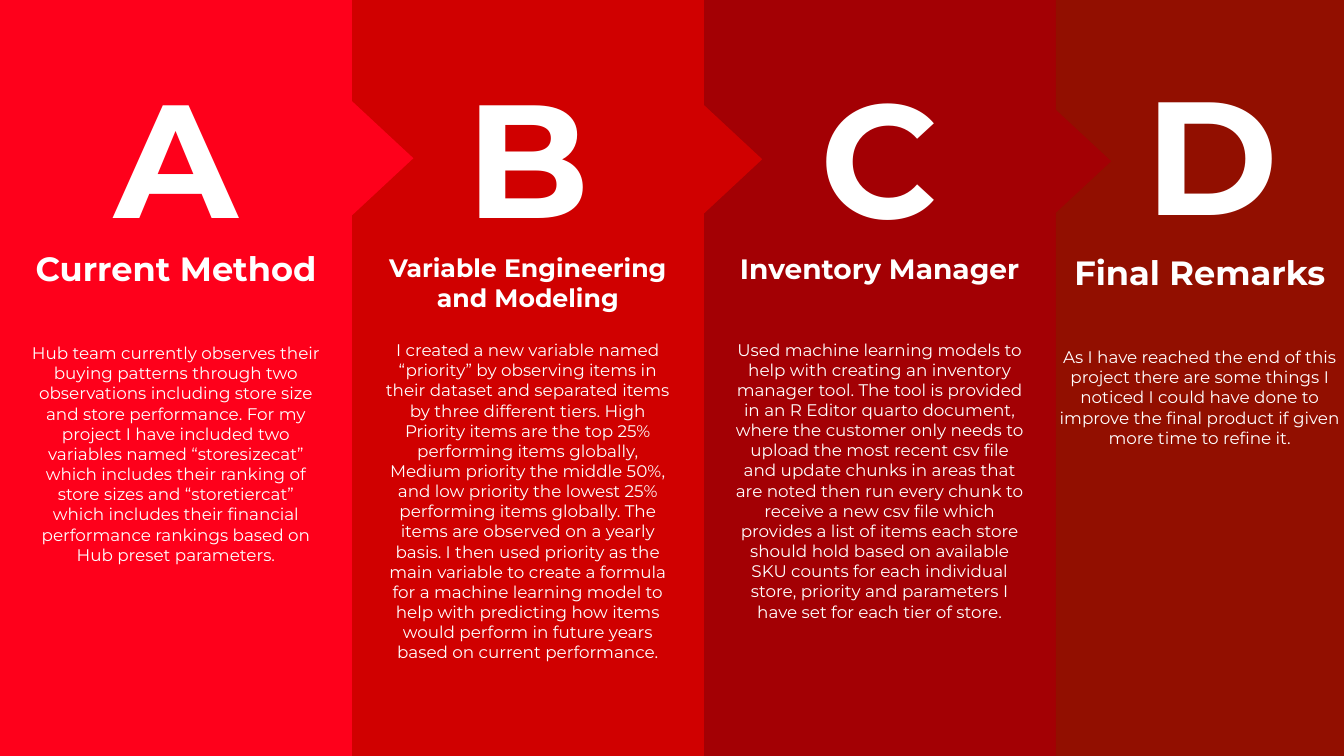
import dataclasses

import pptx
import pptx.dml.color
import pptx.enum.shapes
import pptx.enum.text
import pptx.util

SLIDE_W, SLIDE_H = 13.33, 7.5
COLUMN_W = 3.49
TEXT_W, LETTER_W = 2.89, 2.6
ARROW_BASE, ARROW_DEPTH = 1.21, 0.65


@dataclasses.dataclass(frozen=True)
class Theme:
    font: str = "Montserrat"
    text: str = "FFFFFF"
    backdrop: str = "A30004"
    columns: tuple = ("FE001B", "D00000", "A30004", "920F00")
    letter: int = 115
    body: int = 12
    blank_line: float = 19.5


@dataclasses.dataclass(frozen=True)
class Section:
    letter: str
    heading: str
    heading_size: int
    gap_lines: int
    body: str
    text_top: float
    letter_top: float = 0.57
    letter_shift: float = 0
    arrow_middle: float = 0
    arrow_overlap: float = 0


THEME = Theme()

SECTIONS = [
    Section(
        "A", "Current Method", 24, 2,
        "Hub team currently observes their buying patterns through two "
        "observations including store size and store performance. For my "
        "project I have included two variables named “storesizecat” which "
        "includes their ranking of store sizes and “storetiercat” which "
        "includes their financial performance rankings based on Hub preset "
        "parameters.",
        text_top=2.46, arrow_middle=1.57, arrow_overlap=0.04,
    ),
    Section(
        "B", "Variable Engineering and Modeling", 18, 1,
        "I created a new variable named “priority” by observing items in "
        "their dataset and separated items by three different tiers. High "
        "Priority items are the top 25% performing items globally, Medium "
        "priority the middle 50%, and low priority the lowest 25% performing "
        "items globally. The items are observed on a yearly basis. I then "
        "used priority as the main variable to create a formula for a "
        "machine learning model to help with predicting how items would "
        "perform in future years based on current performance.",
        text_top=2.5, arrow_middle=1.58, arrow_overlap=0.07,
    ),
    Section(
        "C", "Inventory Manager", 20, 2,
        "Used machine learning models to help with creating an inventory "
        "manager tool. The tool is provided in an R Editor quarto document, "
        "where the customer only needs to upload the most recent csv file "
        "and update chunks in areas that are noted then run every chunk to "
        "receive a new csv file which provides a list of items each store "
        "should hold based on available SKU counts for each individual "
        "store, priority and parameters I have set for each tier of store.",
        text_top=2.49, arrow_middle=1.6, arrow_overlap=0.1,
    ),
    Section(
        "D", "Final Remarks", 24, 2,
        "As I have reached the end of this project there are some things I "
        "noticed I could have done to improve the final product if given "
        "more time to refine it.",
        text_top=2.5, letter_top=0.54, letter_shift=0.12,
    ),
]


def rgb(value):
    return pptx.dml.color.RGBColor.from_string(value)


def inches(*lengths):
    return [pptx.util.Inches(length) for length in lengths]


def add_block(s, kind, box, color):
    sp = s.shapes.add_shape(kind, *inches(*box))
    sp.shadow.inherit = False
    sp.fill.solid()
    sp.fill.fore_color.rgb = rgb(color)
    sp.line.fill.background()
    return sp


def add_text(s, box, lines):
    tf = s.shapes.add_textbox(*inches(*box)).text_frame
    tf.word_wrap = True
    tf.margin_left = tf.margin_right = tf.margin_top = tf.margin_bottom = 0
    for i, (text, size, bold, gap) in enumerate(lines):
        p = tf.add_paragraph() if i else tf.paragraphs[0]
        p.text = text
        p.alignment = pptx.enum.text.PP_ALIGN.CENTER
        p.space_before = pptx.util.Pt(gap)
        p.font.name = THEME.font
        p.font.size = pptx.util.Pt(size)
        p.font.bold = bold
        p.font.color.rgb = rgb(THEME.text)


def add_arrow(s, edge, section, color):
    center = edge - section.arrow_overlap + ARROW_DEPTH / 2
    box = (center - ARROW_BASE / 2, section.arrow_middle - ARROW_DEPTH / 2,
           ARROW_BASE, ARROW_DEPTH)
    sp = add_block(s, pptx.enum.shapes.MSO_SHAPE.ISOSCELES_TRIANGLE, box, color)
    sp.rotation = 90


def add_column(s, box, section, color):
    left, top, width, height = box
    center = left + width / 2
    text_w = min(TEXT_W, width)
    add_block(s, pptx.enum.shapes.MSO_SHAPE.RECTANGLE, box, color)
    if section.arrow_middle:
        add_arrow(s, left + width, section, color)
    add_text(
        s,
        (center + section.letter_shift - LETTER_W / 2,
         top + section.letter_top, LETTER_W, 1.94),
        [(section.letter, THEME.letter, True, 0)],
    )
    add_text(
        s,
        (center - text_w / 2, top + section.text_top,
         text_w, height - section.text_top),
        [(section.heading, section.heading_size, True, 0),
         (section.body, THEME.body, False,
          section.gap_lines * THEME.blank_line)],
    )


def add_sections_slide(prs):
    s = prs.slides.add_slide(prs.slide_layouts[6])
    s.background.fill.solid()
    s.background.fill.fore_color.rgb = rgb(THEME.backdrop)
    for i in reversed(range(len(SECTIONS))):
        left = i * COLUMN_W
        box = (left, 0, min(COLUMN_W, SLIDE_W - left), SLIDE_H)
        add_column(s, box, SECTIONS[i], THEME.columns[i])


def main():
    prs = pptx.Presentation()
    prs.slide_width, prs.slide_height = inches(SLIDE_W, SLIDE_H)
    add_sections_slide(prs)
    prs.save("out.pptx")


if __name__ == "__main__":
    main()
